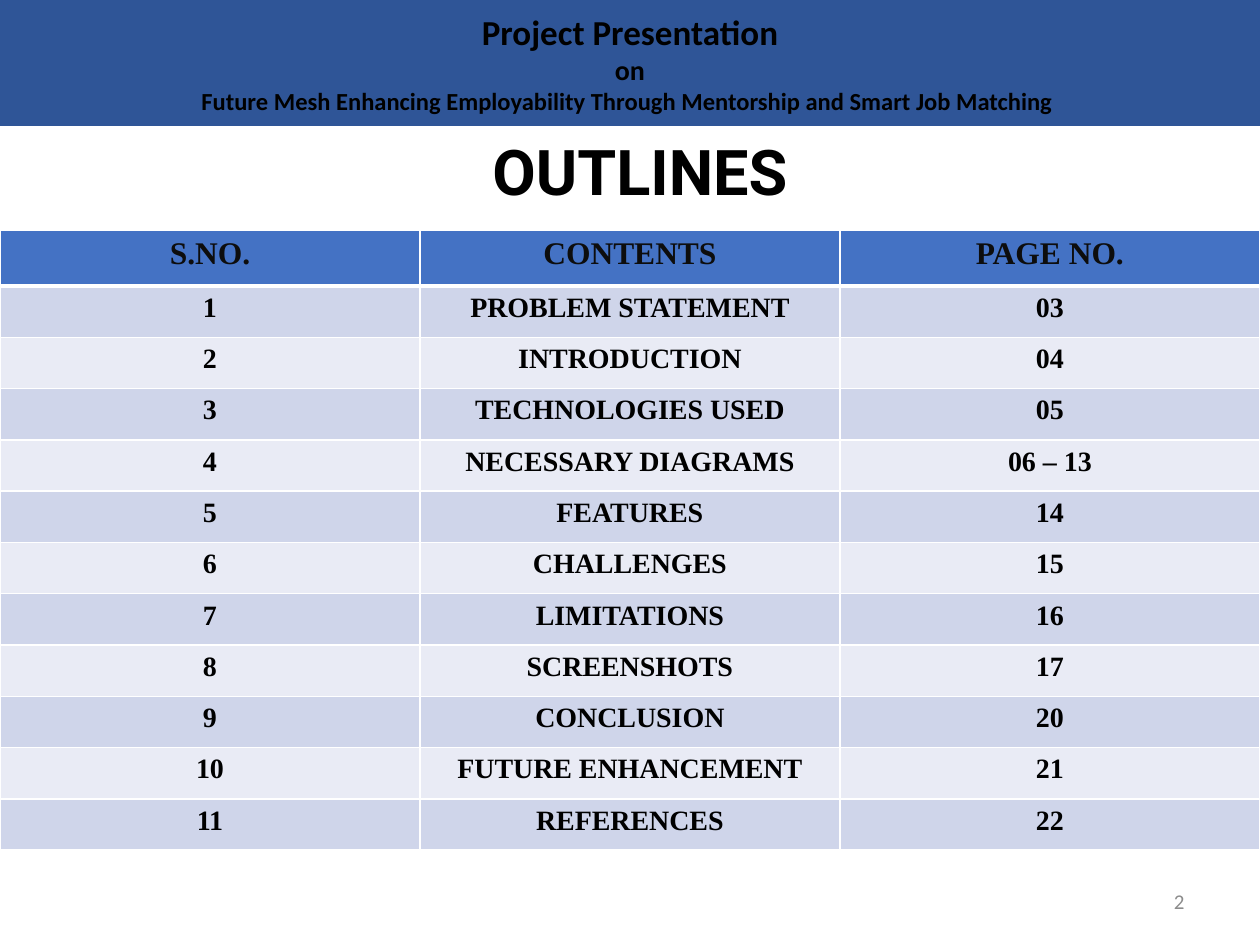
import copy

import lxml.etree
import pptx
import pptx.dml.color
import pptx.enum.text
import pptx.oxml.ns
import pptx.util

Inches = pptx.util.Inches
Pt = pptx.util.Pt
Align = pptx.enum.text.PP_ALIGN
Anchor = pptx.enum.text.MSO_ANCHOR
qn = pptx.oxml.ns.qn

HUES = {
    "band": "2F5597",
    "head": "4472C4",
    "odd": "CFD5EA",
    "even": "E9EBF5",
    "rule": "FFFFFF",
    "ink": "000000",
    "soft": "0D0D0D",
    "grey": "8C8C8C",
}
ROWS = [
    ("PROBLEM STATEMENT", "03"),
    ("INTRODUCTION", "04"),
    ("TECHNOLOGIES USED", "05"),
    ("NECESSARY DIAGRAMS", "06 – 13"),
    ("FEATURES", "14"),
    ("CHALLENGES", "15"),
    ("LIMITATIONS", "16"),
    ("SCREENSHOTS", "17"),
    ("CONCLUSION", "20"),
    ("FUTURE ENHANCEMENT", "21"),
    ("REFERENCES", "22"),
]


def shade(item, hue):
    item.fill.solid()
    item.fill.fore_color.rgb = pptx.dml.color.RGBColor.from_string(HUES[hue])


def write(frame, text, sizes, font="Calibri", hue="ink", bold=True,
          align=Align.CENTER, anchor=Anchor.TOP):
    frame.word_wrap = True
    frame.vertical_anchor = anchor
    para = frame.paragraphs[0]
    para.alignment = align
    lines = text.split("\n")
    for num, (line, size) in enumerate(zip(lines, sizes), 1):
        run = para.add_run()
        run.text = line
        run.font.name = font
        run.font.size = Pt(size)
        run.font.bold = bold
        run.font.color.rgb = pptx.dml.color.RGBColor.from_string(HUES[hue])
        if num < len(lines):
            para.add_line_break()
            para._p[-1].append(copy.deepcopy(run._r.rPr))


def place(shape, left, top, width, height):
    shape.left, shape.top = Inches(left), Inches(top)
    shape.width, shape.height = Inches(width), Inches(height)


def add_band(slide):
    band = slide.shapes.title
    place(band, 0, 0, 10, 1)
    shade(band, "band")
    band.text_frame.auto_size = pptx.enum.text.MSO_AUTO_SIZE.NONE
    write(band.text_frame,
          "Project Presentation\non\nFuture Mesh Enhancing Employability "
          "Through Mentorship and Smart Job Matching ",
          [20, 16, 14], anchor=Anchor.MIDDLE)


def add_text(slide, spot, text, size, **form):
    box = slide.shapes.add_textbox(*map(Inches, spot))
    write(box.text_frame, text, [size], **form)


def rule(cell, **widths):
    props = cell._tc.get_or_add_tcPr()
    for side in "LRTB":
        line = lxml.etree.SubElement(props, qn(f"a:ln{side}"),
                                     w=str(Pt(widths.get(side, 1))))
        fill = lxml.etree.SubElement(line, qn("a:solidFill"))
        lxml.etree.SubElement(fill, qn("a:srgbClr"), val=HUES["rule"])


def add_grid(slide):
    data = [("S.NO.", "CONTENTS", "PAGE NO.")]
    data += [(str(num), *row) for num, row in enumerate(ROWS, 1)]
    head, full = 0.44, 4.92
    grid = slide.shapes.add_table(len(data), 3, Inches(0), Inches(1.83),
                                  Inches(10), Inches(full)).table
    for r, row in enumerate(data):
        high = head if r == 0 else (full - head) / len(ROWS)
        grid.rows[r].height = Inches(high)
        for c, text in enumerate(row):
            cell = grid.cell(r, c)
            rule(cell, B=3 if r == 0 else 1, T=3 if r == 1 else 1)
            shade(cell, "head" if r == 0 else "odd" if r % 2 else "even")
            write(cell.text_frame, text, [16 if r else 18],
                  font="Times New Roman", hue="ink" if r else "soft")


def main():
    deck = pptx.Presentation()
    deck.slide_width, deck.slide_height = Inches(10), Inches(7.5)
    slide = deck.slides.add_slide(deck.slide_layouts[5])
    add_band(slide)
    add_text(slide, (0.33, 1, 9.5, 0.71), "OUTLINES", 36, font="Roboto")
    add_text(slide, (7.17, 6.95, 2.33, 0.4), "2", 12, hue="grey", bold=False,
             align=Align.RIGHT, anchor=Anchor.MIDDLE)
    add_grid(slide)
    deck.save("out.pptx")


if __name__ == "__main__":
    main()
